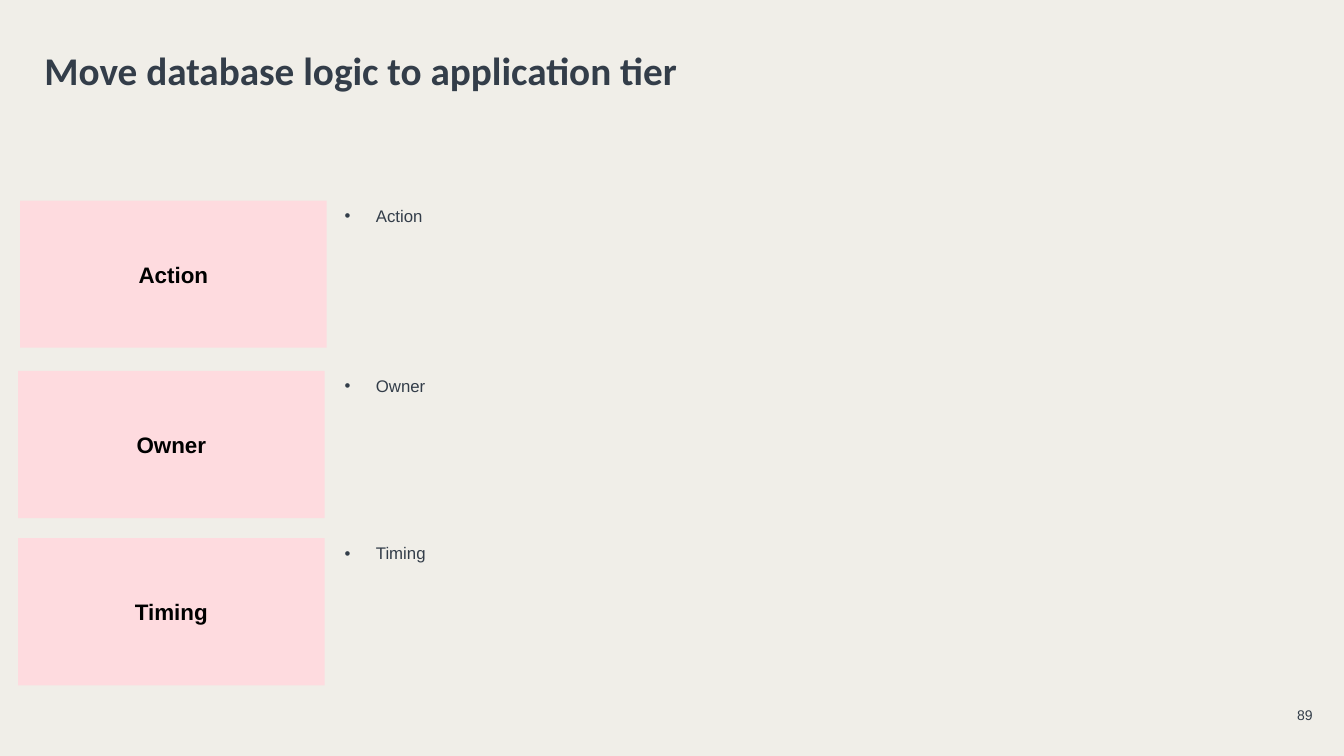
from dataclasses import dataclass

from lxml.etree import SubElement
from pptx import Presentation
from pptx.dml.color import RGBColor
from pptx.enum.shapes import MSO_SHAPE
from pptx.enum.text import MSO_ANCHOR, PP_ALIGN
from pptx.oxml.ns import qn
from pptx.slide import Slide
from pptx.text.text import TextFrame, _Paragraph
from pptx.util import Inches, Pt


@dataclass(frozen=True)
class Theme:
    paper: RGBColor = RGBColor.from_string("F0EEE8")
    ink: RGBColor = RGBColor.from_string("333D49")
    pink: RGBColor = RGBColor.from_string("FEDBDF")
    black: RGBColor = RGBColor.from_string("000000")
    head: str = "Calibri"
    body: str = "Arial"
    title: int = 28
    label: int = 16
    note: int = 12
    page: int = 10


@dataclass(frozen=True)
class Box:
    left: float
    top: float
    width: float
    height: float

    def place(self) -> list[int]:
        return [Inches(n) for n in (self.left, self.top, self.width, self.height)]


@dataclass(frozen=True)
class Row:
    name: str
    left: float
    top: float


THEME = Theme()
ROWS = [
    Row("Action", 0.2, 1.99),
    Row("Owner", 0.18, 3.68),
    Row("Timing", 0.18, 5.34),
]


def add_run(para: _Paragraph, text: str, size: int, color: RGBColor,
            face: str = THEME.body, bold: bool = False) -> None:
    run = para.add_run()
    run.text = text
    run.font.name = face
    run.font.size = Pt(size)
    run.font.bold = bold
    run.font.color.rgb = color


def add_frame(slide: Slide, box: Box, wrap: bool = True) -> TextFrame:
    frame = slide.shapes.add_textbox(*box.place()).text_frame
    frame.word_wrap = wrap
    return frame


def trim(frame: TextFrame) -> None:
    frame.margin_left = frame.margin_right = 0
    frame.margin_top = frame.margin_bottom = 0
    frame.vertical_anchor = MSO_ANCHOR.BOTTOM


def add_bullet(para: _Paragraph) -> None:
    props = para._p.get_or_add_pPr()
    props.set("marL", str(Inches(0.31)))
    props.set("indent", str(-Inches(0.31)))
    SubElement(props, qn("a:buFont")).set("typeface", THEME.body)
    SubElement(props, qn("a:buChar")).set("char", "•")


def draw_title(slide: Slide) -> None:
    frame = add_frame(slide, Box(0.44, 0.3, 11.3, 0.63))
    trim(frame)
    para = frame.paragraphs[0]
    para.line_spacing = 1.05
    add_run(para, "Move database logic to application tier",
            THEME.title, THEME.ink, THEME.head, True)


def draw_row(slide: Slide, row: Row) -> None:
    place = Box(row.left, row.top, 3.04, 1.46).place()
    card = slide.shapes.add_shape(MSO_SHAPE.RECTANGLE, *place)
    card.shadow.inherit = False
    card.fill.solid()
    card.fill.fore_color.rgb = THEME.pink
    card.line.fill.background()
    card.text_frame.word_wrap = True
    card.text_frame.vertical_anchor = MSO_ANCHOR.MIDDLE
    label = card.text_frame.paragraphs[0]
    label.alignment = PP_ALIGN.CENTER
    add_run(label, row.name, THEME.label, THEME.black, bold=True)

    note = add_frame(slide, Box(3.32, row.top, 9.55, 0.3)).paragraphs[0]
    add_bullet(note)
    add_run(note, row.name, THEME.note, THEME.ink)


def draw_page(slide: Slide) -> None:
    frame = add_frame(slide, Box(12.65, 6.95, 0.37, 0.23), wrap=False)
    trim(frame)
    para = frame.paragraphs[0]
    para.alignment = PP_ALIGN.RIGHT
    add_run(para, "89", THEME.page, THEME.ink)


def main() -> None:
    deck = Presentation()
    deck.slide_width = Inches(13.33)
    deck.slide_height = Inches(7.5)
    slide = deck.slides.add_slide(deck.slide_layouts[6])
    slide.background.fill.solid()
    slide.background.fill.fore_color.rgb = THEME.paper
    draw_title(slide)
    for row in ROWS:
        draw_row(slide, row)
    draw_page(slide)
    deck.save("out.pptx")


if __name__ == "__main__":
    main()
